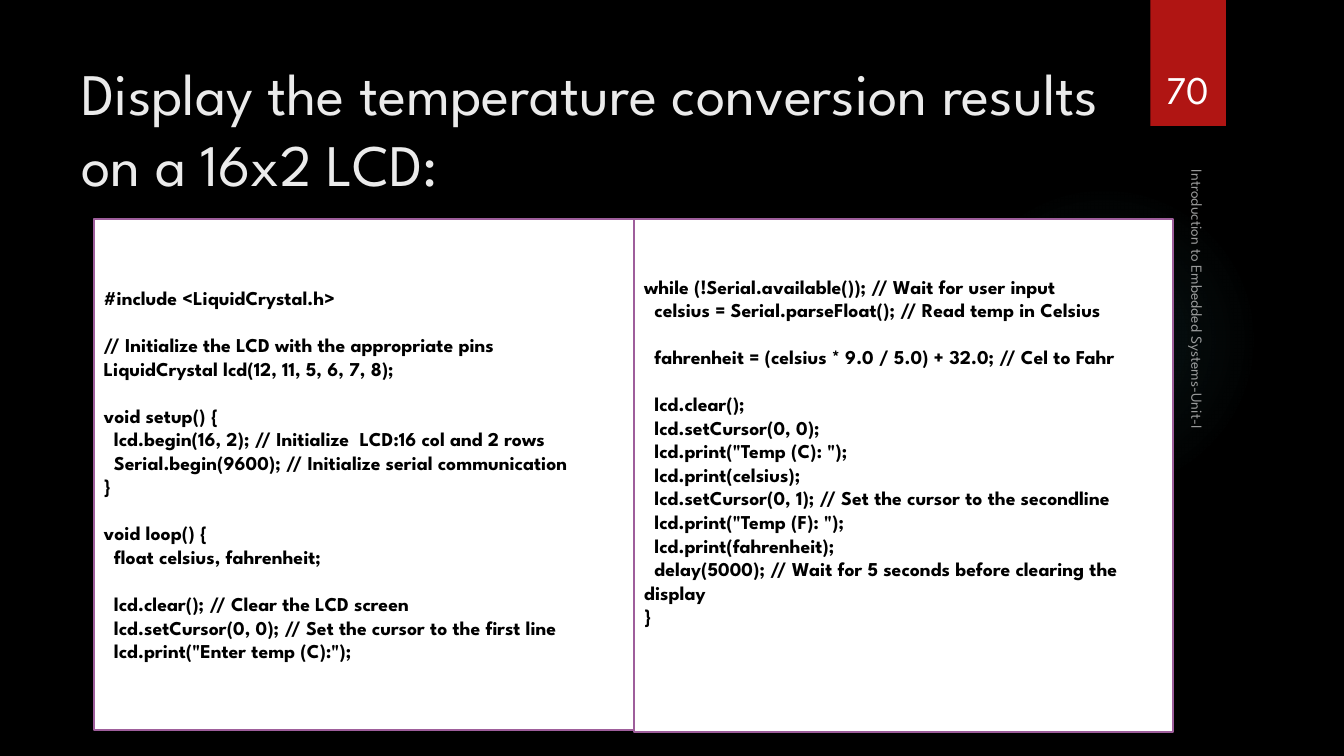
"""Build the slide on showing temperature conversion results on an LCD."""
from lxml import etree
from pptx import Presentation
from pptx import util as u
from pptx.dml.color import RGBColor
from pptx.enum import shapes, text
from pptx.oxml import parse_xml
from pptx.oxml.ns import nsdecls, qn

TITLE = "Display the temperature conversion results on a 16x2 LCD:"
FOOTER = "Introduction to Embedded Systems-Unit-I"
PAGE = "70"
SETUP_CODE = [
    ["#include <LiquidCrystal.h>"],
    ["// Initialize the LCD with the appropriate pins",
     "LiquidCrystal lcd(12, 11, 5, 6, 7, 8);"],
    ["void setup() {",
     "  lcd.begin(16, 2); // Initialize  LCD:16 col and 2 rows",
     "  Serial.begin(9600); // Initialize serial communication",
     "}"],
    ["void loop() {",
     "  float celsius, fahrenheit;"],
    ["  lcd.clear(); // Clear the LCD screen",
     "  lcd.setCursor(0, 0); // Set the cursor to the first line",
     '  lcd.print("Enter temp (C):");'],
]
LOOP_CODE = [
    ["while (!Serial.available()); // Wait for user input",
     "  celsius = Serial.parseFloat(); // Read temp in Celsius"],
    ["  fahrenheit = (celsius * 9.0 / 5.0) + 32.0; // Cel to Fahr"],
    ["  lcd.clear();",
     "  lcd.setCursor(0, 0);",
     '  lcd.print("Temp (C): ");',
     "  lcd.print(celsius);",
     "  lcd.setCursor(0, 1); // Set the cursor to the secondline",
     '  lcd.print("Temp (F): ");',
     "  lcd.print(fahrenheit);",
     "  delay(5000); // Wait for 5 seconds before clearing the display",
     "}"],
]
PANELS = [
    (SETUP_CODE, (0.93, 2.17, 5.36, 5.07), 0.05),
    (LOOP_CODE, (6.29, 2.17, 5.34, 5.09), 0.53),
]
GLOW_STOPS = [(0, 7), (36, 6), (69, 0)]

FONT = "League Spartan"
BLACK = RGBColor(0x00, 0x00, 0x00)
WHITE = RGBColor(0xFF, 0xFF, 0xFF)
OFF_WHITE = RGBColor(0xEB, 0xEB, 0xEB)
RED = RGBColor(0xB0, 0x15, 0x13)
PURPLE = RGBColor(0x9E, 0x5E, 0x9B)
TEAL = RGBColor(0x50, 0xB9, 0xC1)
CODE_SIZE = 14
CODE_GAP = u.Pt(16.8)


def add_shape(slide, kind, box, fill=None, line=None):
    shape = slide.shapes.add_shape(kind, *map(u.Inches, box))
    shape.shadow.inherit = False
    if fill is None:
        shape.fill.background()
    else:
        shape.fill.solid()
        shape.fill.fore_color.rgb = fill
    if line is None:
        shape.line.fill.background()
    else:
        shape.line.color.rgb = line
        shape.line.width = u.Pt(1.5)
    return shape


def add_run(paragraph, words, size, color, bold=False):
    run = paragraph.add_run()
    run.text = words
    run.font.name = FONT
    run.font.size = u.Pt(size)
    run.font.bold = bold
    run.font.color.rgb = color
    return run


def add_label(slide, words, box, size, color, anchor, align=text.PP_ALIGN.LEFT):
    shape = slide.shapes.add_textbox(*map(u.Inches, box))
    frame = shape.text_frame
    frame.word_wrap = True
    frame.vertical_anchor = anchor
    frame.paragraphs[0].alignment = align
    run = add_run(frame.paragraphs[0], words, size, color)
    return shape, run


def add_glow(slide):
    shape = add_shape(slide, shapes.MSO_SHAPE.OVAL, (9.41, 1.83, 3.08, 3.08))
    stops = "".join(
        f'<a:gs pos="{place * 1000}"><a:srgbClr val="{TEAL}">'
        f'<a:alpha val="{alpha * 1000}"/></a:srgbClr></a:gs>'
        for place, alpha in GLOW_STOPS)
    gradient = parse_xml(
        f'<a:gradFill {nsdecls("a")}><a:gsLst>{stops}</a:gsLst><a:path path="circle">'
        '<a:fillToRect l="50000" t="50000" r="50000" b="50000"/></a:path></a:gradFill>')
    properties = shape.element.spPr
    properties.replace(properties.find(qn("a:noFill")), gradient)


def add_code_panel(slide, blocks, box, bottom_margin):
    shape = add_shape(slide, shapes.MSO_SHAPE.RECTANGLE, box, WHITE, PURPLE)
    frame = shape.text_frame
    frame.word_wrap = True
    frame.vertical_anchor = text.MSO_ANCHOR.MIDDLE
    frame.margin_bottom = u.Inches(bottom_margin)
    paragraph = frame.paragraphs[0]
    for block_index, block in enumerate(blocks):
        for line_index, line in enumerate(block):
            if block_index or line_index:
                paragraph = frame.add_paragraph()
            if block_index and not line_index:
                paragraph.space_before = CODE_GAP
            paragraph.alignment = text.PP_ALIGN.LEFT
            add_run(paragraph, line, CODE_SIZE, BLACK, bold=True)


def main():
    presentation = Presentation()
    presentation.slide_width = u.Inches(13.33)
    presentation.slide_height = u.Inches(7.5)
    slide = presentation.slides.add_slide(presentation.slide_layouts[6])
    slide.background.fill.solid()
    slide.background.fill.fore_color.rgb = BLACK

    add_glow(slide)
    add_shape(slide, shapes.MSO_SHAPE.RECTANGLE, (11.41, 0, 0.75, 1.25), RED)
    add_label(slide, TITLE, (0.71, 0.5, 10.29, 1.53), 42, OFF_WHITE, text.MSO_ANCHOR.MIDDLE)
    footer, footer_run = add_label(
        slide, FOOTER, (9.79, 3.53, 4.22, 0.33), 11, WHITE, text.MSO_ANCHOR.BOTTOM)
    footer.rotation = 90
    footer_color = next(footer_run.font.fill._xPr.iter(qn("a:srgbClr")))
    etree.SubElement(footer_color, qn("a:alpha")).set("val", "60000")
    add_label(slide, PAGE, (11.32, 0.32, 0.92, 0.84), 28, WHITE,
              text.MSO_ANCHOR.BOTTOM, text.PP_ALIGN.CENTER)
    for blocks, box, bottom_margin in PANELS:
        add_code_panel(slide, blocks, box, bottom_margin)

    presentation.save("out.pptx")


if __name__ == "__main__":
    main()
